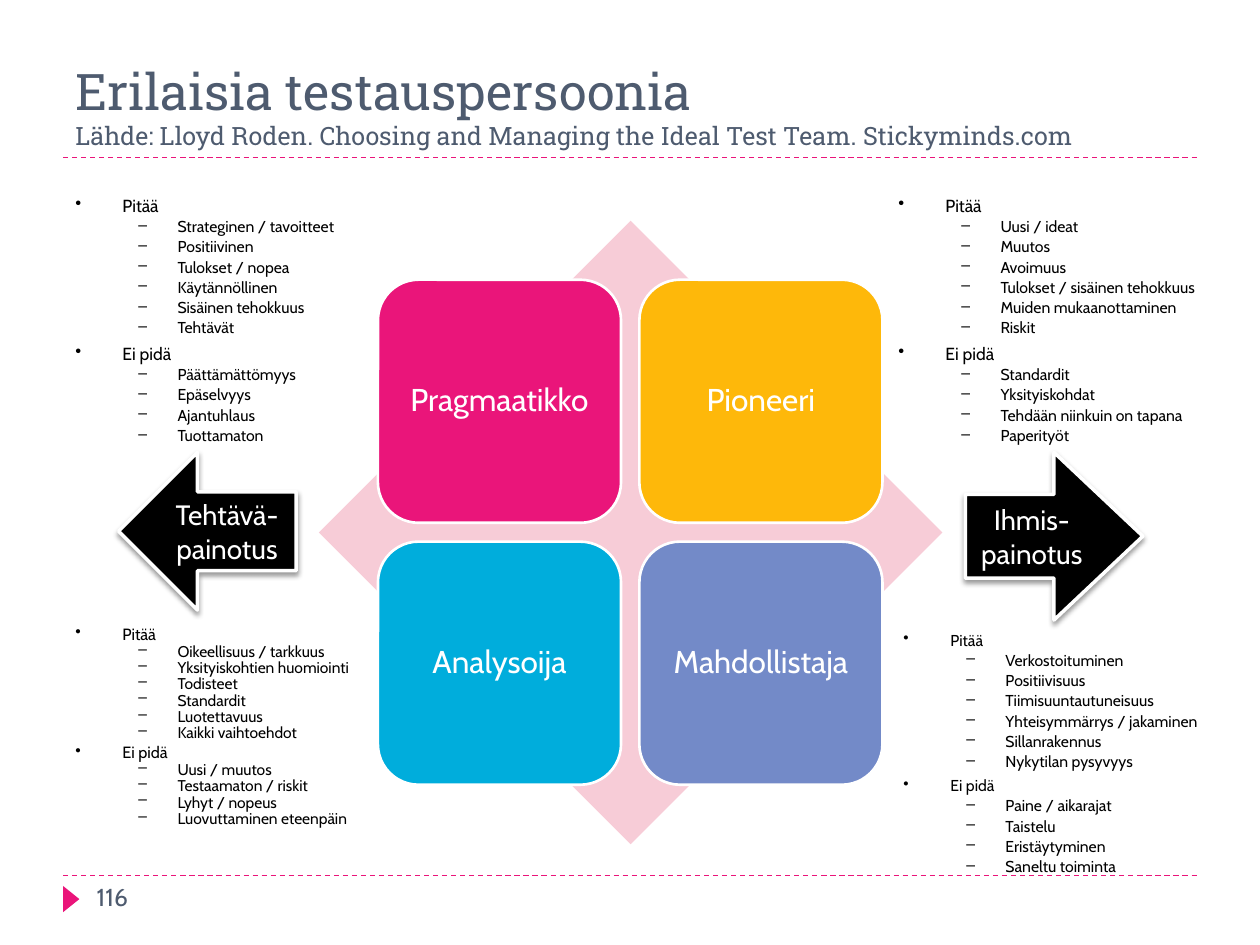
from lxml import etree
from pptx import Presentation
from pptx.dml.color import RGBColor
from pptx.enum.dml import MSO_LINE
from pptx.enum.shapes import MSO_CONNECTOR, MSO_SHAPE
from pptx.enum.text import MSO_ANCHOR, PP_ALIGN
from pptx.oxml.ns import qn
from pptx.util import Cm, Pt

DASH = MSO_LINE.DASH
LINE = MSO_CONNECTOR.STRAIGHT
PEAK, GEM, ROUND = MSO_SHAPE.ISOSCELES_TRIANGLE, MSO_SHAPE.DIAMOND, MSO_SHAPE.ROUNDED_RECTANGLE
EAST, WEST = MSO_SHAPE.RIGHT_ARROW, MSO_SHAPE.LEFT_ARROW
MID, LOW = MSO_ANCHOR.MIDDLE, MSO_ANCHOR.BOTTOM
CENTER = PP_ALIGN.CENTER

PINK = RGBColor(0xEA, 0x15, 0x7A)
PALE = RGBColor(0xF7, 0xCC, 0xD7)
GOLD = RGBColor(0xFE, 0xB8, 0x0A)
BLUE = RGBColor(0x00, 0xAD, 0xDC)
MAUVE = RGBColor(0x73, 0x8A, 0xC8)
SLATE = RGBColor(0x4E, 0x5B, 0x6F)
BLACK = RGBColor(0, 0, 0)
WHITE = RGBColor(0xFF, 0xFF, 0xFF)


def write(para, text, size, color, font="Cabin", align=None, space=None):
    para.alignment = align
    para.line_spacing = space
    for i, line in enumerate(text.split("\n")):
        if i:
            para.add_line_break()
        if line:
            run = para.add_run()
            run.text = line
            run.font.size = Pt(size)
            run.font.name = font
            run.font.color.rgb = color


def draw(kind, left, top, width, height, fill, edge=None):
    shape = slide.shapes.add_shape(kind, Cm(left), Cm(top), Cm(width), Cm(height))
    shape.shadow.inherit = False
    shape.fill.solid()
    shape.fill.fore_color.rgb = fill
    if edge:
        shape.line.color.rgb = WHITE
        shape.line.width = Pt(edge)
    else:
        shape.line.fill.background()
    return shape


deck = Presentation()
deck.slide_width, deck.slide_height = Cm(25.4), Cm(19.05)
slide = deck.slides.add_slide(deck.slide_layouts[6])

for y in (17.65, 3.18):
    rule = slide.shapes.add_connector(LINE, Cm(1.27), Cm(y), Cm(24.13), Cm(y))
    rule.line.color.rgb = PINK
    rule.line.width = Pt(0.75)
    rule.line.dash_style = DASH
    etree.SubElement(rule._element.spPr, qn("a:effectLst"))

mark = draw(PEAK, 1.17, 17.96, 0.53, 0.33, PINK)
mark.rotation = 90

title = slide.shapes.add_textbox(Cm(1.27), Cm(0.43), Cm(22.86), Cm(2.74)).text_frame
title.word_wrap = True
title.vertical_anchor = LOW
head = title.paragraphs[0]
write(head, "Erilaisia testauspersoonia\n", 28.8, SLATE, font="Roboto Slab")
write(head, "Lähde: Lloyd Roden. Choosing and Managing the Ideal Test Team. Stickyminds.com",
      14.4, SLATE, font="Roboto Slab")

draw(GEM, 6.43, 4.45, 12.57, 12.57, PALE)
types = [("Pragmaatikko", PINK), ("Pioneeri", GOLD), ("Analysoija", BLUE), ("Mahdollistaja", MAUVE)]
for i, (name, fill) in enumerate(types):
    row, col = divmod(i, 2)
    card = draw(ROUND, 7.62 + col * 5.27, 5.64 + row * 5.28, 4.9, 4.9, fill, edge=1.5)
    frame = card.text_frame
    frame.margin_left = frame.margin_right = frame.margin_top = frame.margin_bottom = Cm(0.18)
    frame.vertical_anchor = MID
    write(frame.paragraphs[0], name, 18, WHITE, align=CENTER, space=0.9)

arrows = [
    (EAST, 19.46, 3.38, 0.53, "Ihmis-painotus"),
    (WEST, 2.39, 3.18, 0.5, "Tehtävä-\npainotus"),
]
for kind, left, height, tip, text in arrows:
    arrow = draw(kind, left, 9.12, 3.58, height, BLACK, edge=2)
    arrow.adjustments[1] = tip
    glow = etree.SubElement(arrow._element.spPr.find(qn("a:effectLst")), qn("a:outerShdw"),
                            blurRad=str(Pt(3)), dist=str(Pt(2)), dir="5400000", rotWithShape="0")
    tint = etree.SubElement(glow, qn("a:srgbClr"), val="000000")
    etree.SubElement(tint, qn("a:alpha"), val="40000")
    frame = arrow.text_frame
    frame.word_wrap = True
    frame.vertical_anchor = MID
    write(frame.paragraphs[0], text, 16, WHITE, align=CENTER)

lists = [
    ((17.86, 3.76, 7.14, 6.35), (10, 9), (1.1, 0.9),
     ["Uusi / ideat", "Muutos", "Avoimuus", "Tulokset / sisäinen tehokkuus",
      "Muiden mukaanottaminen", "Riskit"],
     ["Standardit", "Yksityiskohdat", "Tehdään niinkuin on tapana", "Paperityöt"]),
    ((1.27, 3.76, 11.23, 5.56), (10, 9), (1.1, 0.9),
     ["Strateginen / tavoitteet", "Positiivinen", "Tulokset / nopea", "Käytännöllinen",
      "Sisäinen tehokkuus", "Tehtävät"],
     ["Päättämättömyys", "Epäselvyys", "Ajantuhlaus", "Tuottamaton"]),
    ((1.27, 12.5, 11.23, 4.52), (9.3, 8.9), (0.9, 0.7),
     ["Oikeellisuus / tarkkuus", "Yksityiskohtien huomiointi", "Todisteet", "Standardit",
      "Luotettavuus", "Kaikki vaihtoehdot"],
     ["Uusi / muutos", "Testaamaton / riskit", "Lyhyt / nopeus", "Luovuttaminen eteenpäin"]),
    ((17.96, 12.55, 7.44, 4.9), (9, 9), (1.1, 0.9),
     ["Verkostoituminen", "Positiivisuus", "Tiimisuuntautuneisuus", "Yhteisymmärrys / jakaminen",
      "Sillanrakennus", "Nykytilan pysyvyys"],
     ["Paine / aikarajat", "Taistelu", "Eristäytyminen", "Saneltu toiminta"]),
]
marks = [("•", 0.95, -0.95), ("–", 2.06, -0.79)]
for place, sizes, gaps, likes, hates in lists:
    frame = slide.shapes.add_textbox(*map(Cm, place)).text_frame
    frame.word_wrap = True
    items = [("Pitää", 0), *[(t, 1) for t in likes], ("Ei pidä", 0), *[(t, 1) for t in hates]]
    for i, (text, level) in enumerate(items):
        para = frame.add_paragraph() if i else frame.paragraphs[0]
        sign, left, hang = marks[level]
        props = para._p.get_or_add_pPr()
        props.set("marL", str(Cm(left)))
        props.set("indent", str(Cm(hang)))
        etree.SubElement(props, qn("a:buChar"), char=sign)
        para.level = level
        if i:
            para.space_before = Pt(sizes[level] * 0.2)
        write(para, text, sizes[level], BLACK, space=gaps[level])

page = slide.shapes.add_textbox(Cm(1.7), Cm(17.65), Cm(5.51), Cm(1.02)).text_frame
page.word_wrap = True
write(page.paragraphs[0], "116", 14, SLATE)

deck.save("out.pptx")
